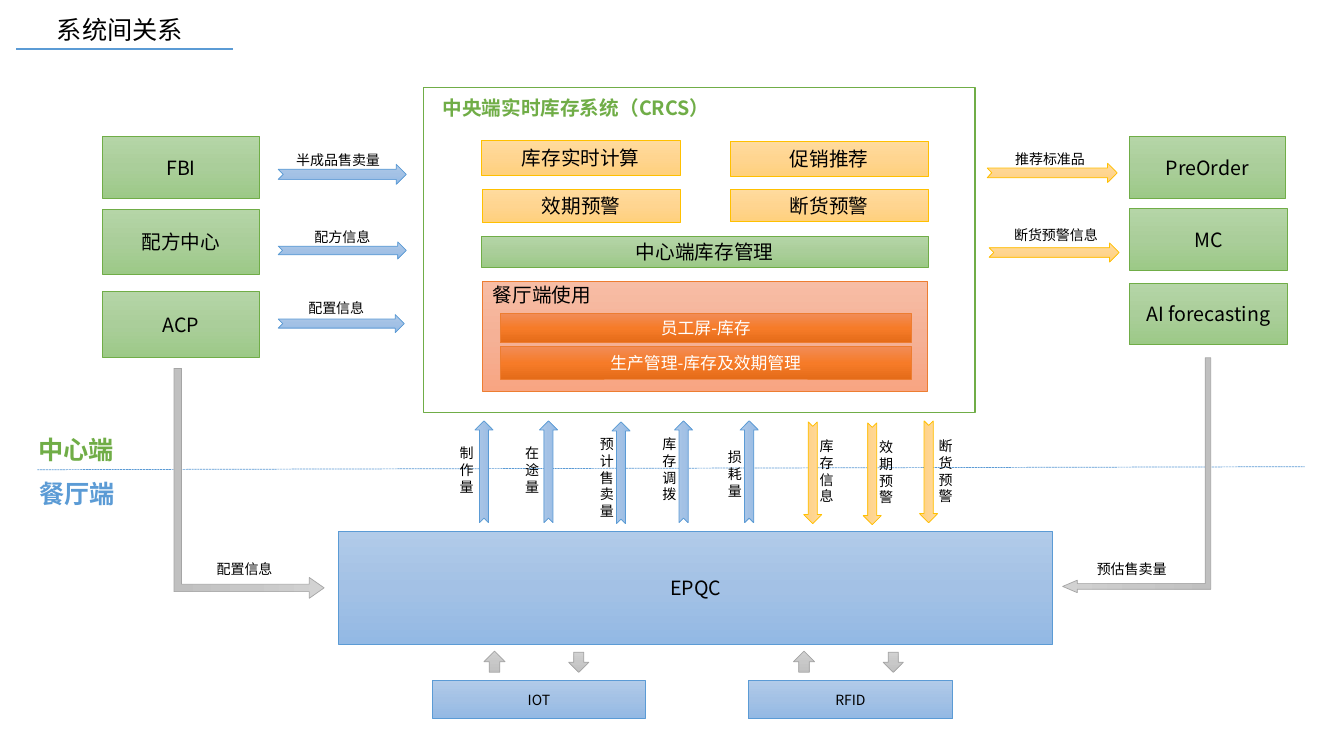
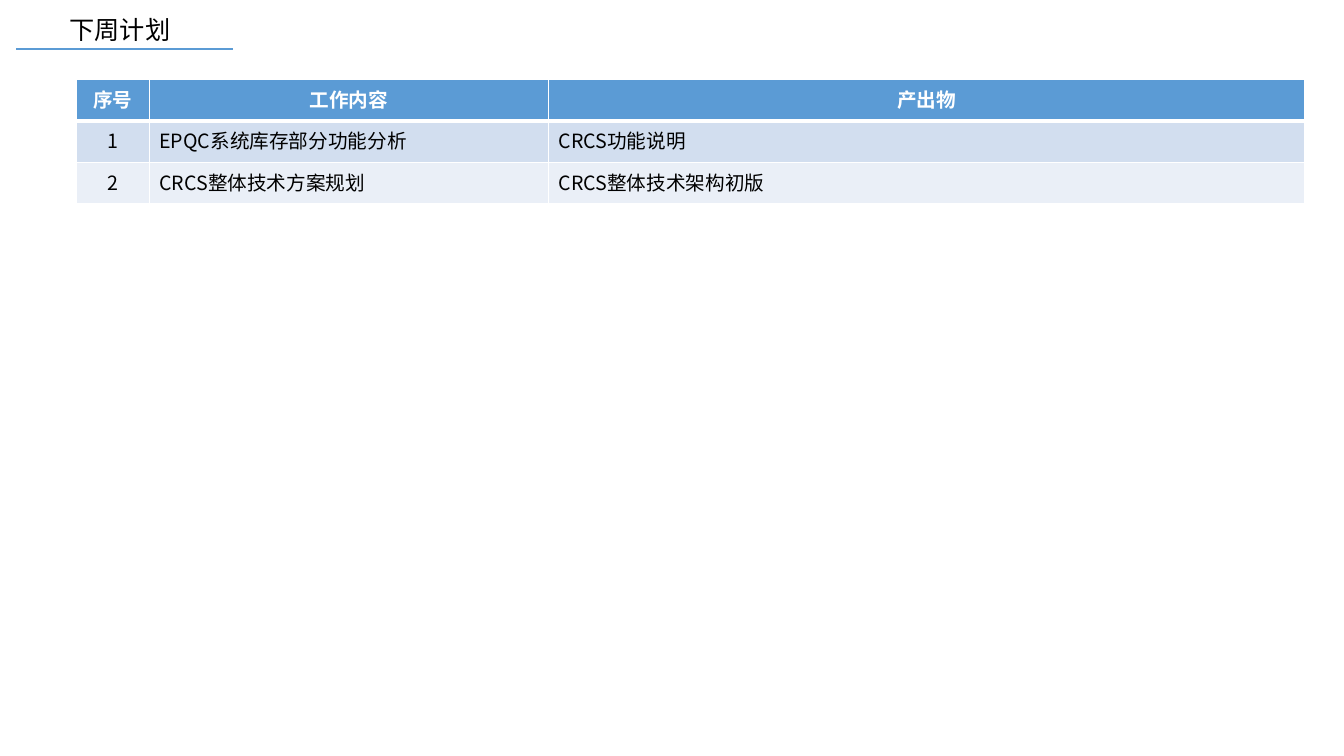
from copy import deepcopy

from lxml import etree
from pptx import Presentation
from pptx.dml.color import RGBColor
from pptx.enum.dml import MSO_LINE
from pptx.enum.shapes import MSO_CONNECTOR, MSO_SHAPE
from pptx.enum.text import MSO_ANCHOR, MSO_AUTO_SIZE, PP_ALIGN
from pptx.oxml.ns import qn
from pptx.util import Inches, Pt

RECTANGLE = MSO_SHAPE.RECTANGLE
NOTCHED_ARROW = MSO_SHAPE.NOTCHED_RIGHT_ARROW
BENT_ARROW = MSO_SHAPE.BENT_UP_ARROW
UP_ARROW, DOWN_ARROW = MSO_SHAPE.UP_ARROW, MSO_SHAPE.DOWN_ARROW
LEFT, CENTER = PP_ALIGN.LEFT, PP_ALIGN.CENTER
TOP, MIDDLE = MSO_ANCHOR.TOP, MSO_ANCHOR.MIDDLE

FONT = "Noto Sans CJK SC"
BLACK = RGBColor(0, 0, 0)
WHITE = RGBColor(255, 255, 255)
GREEN_LINE = RGBColor(0x70, 0xAD, 0x47)
BLUE_LINE = RGBColor(0x5B, 0x9B, 0xD5)
GOLD_LINE = RGBColor(0xFF, 0xC0, 0x00)
ORANGE_LINE = RGBColor(0xED, 0x7D, 0x31)
GRAY_LINE = RGBColor(0xA5, 0xA5, 0xA5)
ROW_FILLS = [RGBColor(0xD2, 0xDE, 0xEF), RGBColor(0xEA, 0xEF, 0xF7)]


def palette(line, *stops):
    return line, [RGBColor.from_string(stop) for stop in stops]


GREEN = palette(GREEN_LINE, "B5D5A7", "AACE9A", "9CC987")
BLUE = palette(BLUE_LINE, "B1CBE9", "A3C1E5", "93B9E4")
GOLD = palette(GOLD_LINE, "FFDB9E", "FFD590", "FFD07C")
SALMON = palette(ORANGE_LINE, "F7BDA5", "F5B196", "F8A582")
ORANGE = palette(ORANGE_LINE, "F18C57", "F67B28", "E56C19")
GRAY = palette(GRAY_LINE, "D2D2D2", "C8C8C8", "C0C0C0")

# Boxes: text, (left, top, width, height), palette, size, text colour
BOXES = [
    ("", (4.78, 2.79, 4.42, 1.09), SALMON, 14, BLACK),
    ("库存实时计算", (4.77, 1.39, 1.98, 0.35), GOLD, 14, BLACK),
    ("促销推荐", (7.24, 1.4, 1.97, 0.35), GOLD, 14, BLACK),
    ("效期预警", (4.78, 1.88, 1.97, 0.33), GOLD, 14, BLACK),
    ("断货预警", (7.24, 1.88, 1.97, 0.32), GOLD, 14, BLACK),
    ("中心端库存管理", (4.77, 2.34, 4.44, 0.31), GREEN, 14, BLACK),
    ("员工屏-库存", (4.96, 3.11, 4.08, 0.29), ORANGE, 12, WHITE),
    ("生产管理-库存及效期管理", (4.96, 3.44, 4.08, 0.32), ORANGE, 12, WHITE),
    ("FBI", (1.02, 1.35, 1.55, 0.62), GREEN, 14, BLACK),
    ("配方中心", (1.02, 2.08, 1.55, 0.64), GREEN, 14, BLACK),
    ("ACP", (1.02, 2.89, 1.55, 0.66), GREEN, 14, BLACK),
    ("PreOrder", (11.2, 1.35, 1.55, 0.62), GREEN, 14, BLACK),
    ("MC", (11.2, 2.07, 1.57, 0.61), GREEN, 14, BLACK),
    ("AI forecasting", (11.2, 2.81, 1.57, 0.61), GREEN, 14, BLACK),
    ("EPQC", (3.36, 5.27, 7.08, 1.12), BLUE, 14, BLACK),
    ("IOT", (4.29, 6.75, 2.11, 0.38), BLUE, 10, BLACK),
    ("RFID", (7.42, 6.75, 2.03, 0.38), BLUE, 10, BLACK),
]

# Horizontal flows: text, label (left, top, width), arrow box, palette
SIDE_FLOWS = [
    ("半成品售卖量", (2.84, 1.45, 1.06), (2.76, 1.63, 1.27, 0.2), BLUE),
    ("配方信息", (3.02, 2.22, 0.79), (2.76, 2.4, 1.27, 0.17), BLUE),
    ("配置信息", (2.96, 2.92, 0.79), (2.76, 3.12, 1.25, 0.18), BLUE),
    ("推荐标准品", (9.97, 1.44, 0.97), (9.79, 1.62, 1.29, 0.19), GOLD),
    ("断货预警信息", (9.96, 2.2, 1.1), (9.81, 2.41, 1.29, 0.19), GOLD),
]

# Vertical flows: text, label left, label top, arrow centre x, centre y
FLOWS_UP = [
    ("制作量", 4.46, 4.36, 4.8, 4.68),
    ("在途量", 5.11, 4.36, 5.44, 4.68),
    ("预计售卖量", 5.85, 4.27, 6.16, 4.69),
    ("库存调拨", 6.47, 4.27, 6.78, 4.68),
    ("损耗量", 7.12, 4.4, 7.43, 4.68),
]
FLOWS_DOWN = [
    ("库存信息", 8.03, 4.29, 8.06, 4.69),
    ("效期预警", 8.62, 4.3, 8.65, 4.7),
    ("断货预警", 9.21, 4.29, 9.21, 4.68),
]
FLOW_LENGTH, FLOW_WIDTH = 1.01, 0.18
LABEL_HEIGHT, LABEL_LINE = 0.27, 0.17

# Bent flows: text, label (left, top, width), arrow box, rotation, flipped, adjustments
BENT_FLOWS = [
    ("配置信息", (2.05, 5.51, 0.79), (1.33, 4.05, 2.28, 1.49), 90, False, (0.05, 0.069, 0.099)),
    ("预估售卖量", (10.78, 5.51, 1), (10.11, 3.98, 2.33, 1.47), 270, True, (0.038, 0.042, 0.099)),
]
DEVICE_ARROWS = [
    (UP_ARROW, (4.8, 6.46, 0.21, 0.21)), (DOWN_ARROW, (5.64, 6.47, 0.2, 0.2)),
    (UP_ARROW, (7.87, 6.46, 0.21, 0.21)), (DOWN_ARROW, (8.76, 6.47, 0.2, 0.2)),
]

# Headings: text, box, size, colour, bold
HEADINGS = [
    ("中央端实时库存系统（CRCS）", (4.29, 0.9, 4.91, 0.34), 14, GREEN_LINE, True),
    ("餐厅端使用", (4.79, 2.76, 1.88, 0.34), 14, BLACK, False),
    ("中心端", (0.28, 4.26, 1.21, 0.4), 18, GREEN_LINE, True),
    ("餐厅端", (0.29, 4.7, 1.21, 0.4), 18, BLUE_LINE, True),
]

PLAN = [
    ("序号", "工作内容", "产出物"),
    ("1", "EPQC系统库存部分功能分析", "CRCS功能说明"),
    ("2", "CRCS整体技术方案规划", "CRCS整体技术架构初版"),
]
PLAN_COLUMNS = [0.72, 3.96, 7.5]
PLAN_ROW = 0.41


def write_text(frame, text, size=14, color=BLACK, bold=False, align=LEFT):
    paragraph = frame.paragraphs[0]
    paragraph.alignment = align
    run = paragraph.add_run()
    run.text = text
    font = run.font
    font.name, font.size, font.bold = FONT, Pt(size), bold
    font.color.rgb = color
    east_asian = etree.SubElement(run._r.get_or_add_rPr(), qn("a:ea"))
    east_asian.set("typeface", FONT)


def add_text(slide, text, box, **text_format):
    shape = slide.shapes.add_textbox(*map(Inches, box))
    frame = shape.text_frame
    frame.word_wrap = True
    frame.auto_size = MSO_AUTO_SIZE.SHAPE_TO_FIT_TEXT
    write_text(frame, text, **text_format)


def fill_gradient(shape, colors):
    """Fill with evenly spaced colours from top to bottom."""
    shape.fill.gradient()
    shape.fill.gradient_angle = 270
    stop_list = shape._element.spPr.find(qn("a:gradFill")).find(qn("a:gsLst"))
    while len(stop_list) < len(colors):
        stop_list.append(deepcopy(stop_list[0]))
    for index, (stop, color) in enumerate(zip(shape.fill.gradient_stops, colors)):
        stop.position = index / (len(colors) - 1)
        stop.color.rgb = color


def add_shape(slide, kind, box, colors, rotation=0):
    line, stops = colors
    shape = slide.shapes.add_shape(kind, *map(Inches, box))
    shape.shadow.inherit = False
    fill_gradient(shape, stops)
    shape.line.color.rgb = line
    shape.line.width = Pt(0.5)
    shape.rotation = rotation
    return shape


def add_line(slide, start, end, width, dash=None):
    line = slide.shapes.add_connector(MSO_CONNECTOR.STRAIGHT, *map(Inches, start + end))
    line.line.color.rgb = BLUE_LINE
    line.line.width = Pt(width)
    if dash:
        line.line.dash_style = dash
    etree.SubElement(line._element.spPr, qn("a:effectLst"))


def add_titled_slide(presentation, title):
    slide = presentation.slides.add_slide(presentation.slide_layouts[6])
    add_text(slide, title, (0.16, 0.09, 2.06, 0.4), size=18, align=CENTER)
    add_line(slide, (0.16, 0.49), (2.31, 0.49), 1.5)
    return slide


def add_label(slide, text, place):
    add_text(slide, text, (*place, LABEL_HEIGHT), size=10)


def add_vertical_flows(slide, flows, colors, rotation):
    for text, left, top, center_x, center_y in flows:
        box = (center_x - FLOW_LENGTH / 2, center_y - FLOW_WIDTH / 2, FLOW_LENGTH, FLOW_WIDTH)
        add_shape(slide, NOTCHED_ARROW, box, colors, rotation)
        height = 0.1 + LABEL_LINE * len(text)
        add_text(slide, text, (left, top, 0.28, height), size=10)


def build_relations(presentation):
    slide = add_titled_slide(presentation, "系统间关系")
    system = add_shape(slide, RECTANGLE, (4.2, 0.87, 5.47, 3.22), GREEN)
    system.fill.solid()
    system.fill.fore_color.rgb = WHITE
    system.line.width = Pt(1)
    add_line(slide, (0.37, 4.66), (12.94, 4.63), 0.5, MSO_LINE.SQUARE_DOT)

    for text, box, colors, size, color in BOXES:
        shape = add_shape(slide, RECTANGLE, box, colors)
        if text:
            shape.text_frame.vertical_anchor = MIDDLE
            write_text(shape.text_frame, text, size=size, color=color, align=CENTER)
    for text, place, box, colors in SIDE_FLOWS:
        add_shape(slide, NOTCHED_ARROW, box, colors)
        add_label(slide, text, place)
    add_vertical_flows(slide, FLOWS_UP, BLUE, 270)
    add_vertical_flows(slide, FLOWS_DOWN, GOLD, 90)
    for text, place, box, rotation, flipped, adjustments in BENT_FLOWS:
        arrow = add_shape(slide, BENT_ARROW, box, GRAY, rotation)
        for index, value in enumerate(adjustments):
            arrow.adjustments[index] = value
        if flipped:
            arrow._element.spPr.find(qn("a:xfrm")).set("flipH", "1")
        add_label(slide, text, place)
    for kind, box in DEVICE_ARROWS:
        add_shape(slide, kind, box, GRAY)
    for text, box, size, color, bold in HEADINGS:
        add_text(slide, text, box, size=size, color=color, bold=bold)


def set_borders(cell, **widths):
    """Draw white borders; widths in points by side: L, R, T, B."""
    properties = cell._tc.get_or_add_tcPr()
    for index, side in enumerate("LRTB"):
        border = etree.Element(qn(f"a:ln{side}"), w=str(Pt(widths.get(side, 1))))
        fill = etree.SubElement(border, qn("a:solidFill"))
        etree.SubElement(fill, qn("a:srgbClr"), val=str(WHITE))
        properties.insert(index, border)


def build_plan(presentation):
    slide = add_titled_slide(presentation, "下周计划")
    size = (sum(PLAN_COLUMNS), PLAN_ROW * len(PLAN))
    frame = slide.shapes.add_table(
        len(PLAN), len(PLAN_COLUMNS), *map(Inches, (0.76, 0.79) + size))
    table = frame.table
    for column, width in zip(table.columns, PLAN_COLUMNS):
        column.width = Inches(width)
    for row_index, texts in enumerate(PLAN):
        header = row_index == 0
        table.rows[row_index].height = Inches(PLAN_ROW)
        for column_index, text in enumerate(texts):
            cell = table.cell(row_index, column_index)
            cell.vertical_anchor = TOP
            cell.fill.solid()
            cell.fill.fore_color.rgb = BLUE_LINE if header else ROW_FILLS[row_index - 1]
            set_borders(cell, B=3 if header else 1, T=3 if row_index == 1 else 1)
            write_text(cell.text_frame, text, color=WHITE if header else BLACK, bold=header,
                       align=CENTER if header or column_index == 0 else LEFT)


def main():
    presentation = Presentation()
    presentation.slide_width = Inches(13.33)
    presentation.slide_height = Inches(7.5)
    build_relations(presentation)
    build_plan(presentation)
    presentation.save("out.pptx")


if __name__ == "__main__":
    main()
